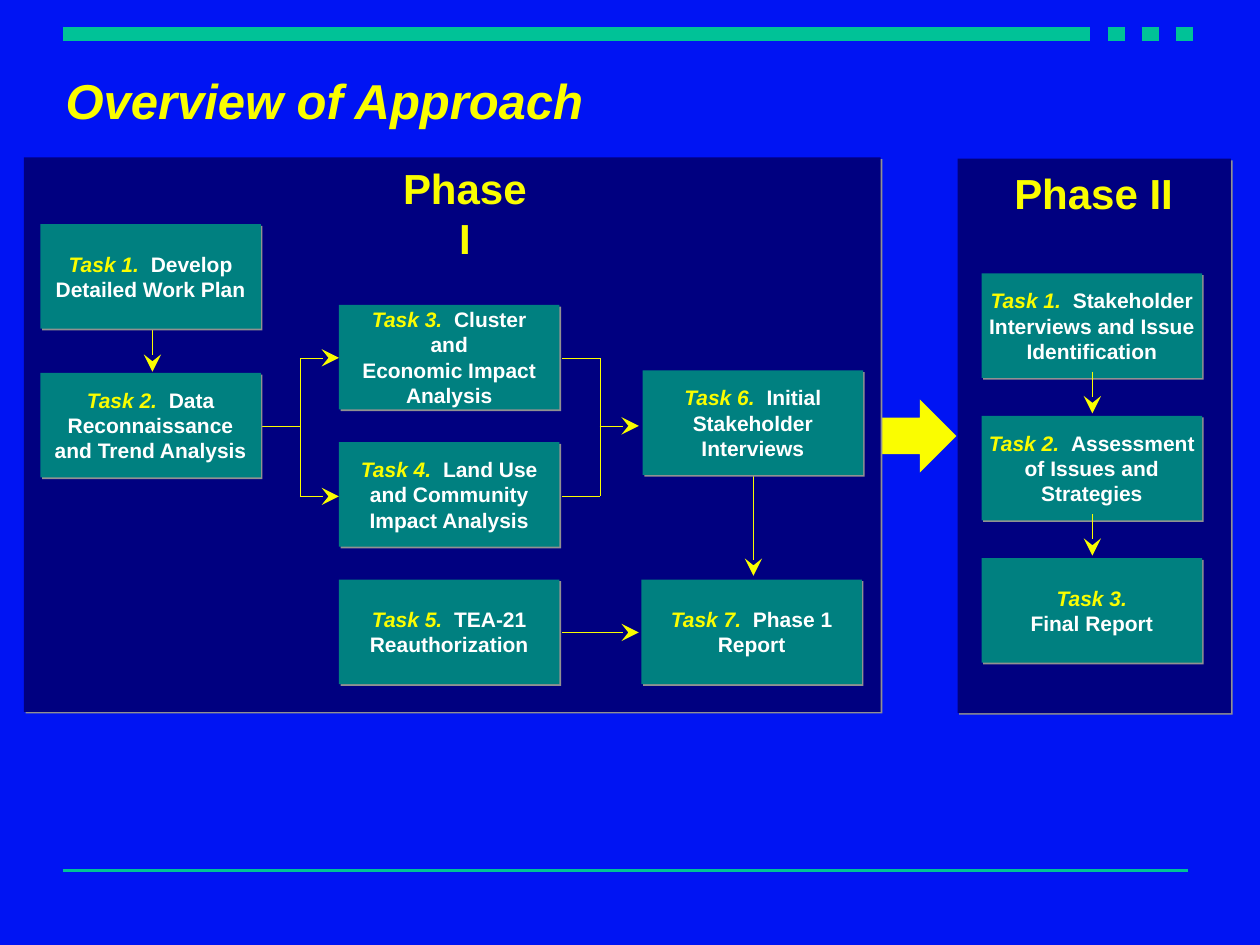
from lxml import etree
from pptx import Presentation
from pptx.dml.color import RGBColor
from pptx.enum.shapes import MSO_CONNECTOR as LINE, MSO_SHAPE as SHAPE
from pptx.enum.text import MSO_ANCHOR as ANCHOR, MSO_AUTO_SIZE as AUTO, PP_ALIGN as ALIGN
from pptx.oxml.ns import qn
from pptx.util import Inches, Pt

BLUE = RGBColor(0x00, 0x14, 0xF3)
NAVY = RGBColor(0x00, 0x00, 0x80)
TEAL = RGBColor(0x00, 0x80, 0x80)
GREEN = RGBColor(0x00, 0xC2, 0x97)
YELLOW = RGBColor(0xFA, 0xFD, 0x00)
WHITE = RGBColor(0xFF, 0xFF, 0xFF)
GREY = RGBColor(0x91, 0x91, 0x91)

TASK_WIDTH, TASK_HEIGHT = 1.75, 0.83


class Flowchart:
    """The slide being drawn, with the style of its elements."""

    label = {"name": "Arial", "size": Pt(12), "bold": True, "italic": True}
    body = {**label, "italic": False}
    heading = {**body, "size": Pt(24)}
    headline = {**label, "size": Pt(28)}

    def __init__(self, page):
        self.page = page
        page.background.fill.solid()
        page.background.fill.fore_color.rgb = BLUE

    def add_text(self, para, text, style, color):
        for index, line in enumerate(text.split("\n")):
            if index:
                para.add_line_break()
            if not line:
                continue
            span = para.add_run()
            span.text = line
            for name, value in style.items():
                setattr(span.font, name, value)
            span.font.color.rgb = color

    def title(self, text, left, top, width, height):
        box = self.page.shapes.title
        box.left, box.top, box.width, box.height = map(Inches, (left, top, width, height))
        frame = box.text_frame
        frame.auto_size, frame.vertical_anchor = AUTO.NONE, ANCHOR.TOP
        para = frame.paragraphs[0]
        para.alignment, para.line_spacing = ALIGN.LEFT, 0.85
        self.add_text(para, text, self.headline, YELLOW)

    def phase(self, text, left, top, width):
        box = self.page.shapes.add_textbox(*map(Inches, (left, top, width, 0.5)))
        box.text_frame.word_wrap = False
        para = box.text_frame.paragraphs[0]
        para.alignment = ALIGN.CENTER
        self.add_text(para, text, self.heading, YELLOW)

    def block(self, kind, left, top, width, height, color, shadow=True):
        box = self.page.shapes.add_shape(kind, *map(Inches, (left, top, width, height)))
        box.fill.solid()
        box.fill.fore_color.rgb = color
        box.line.fill.background()
        box.shadow.inherit = False
        if shadow:
            effects = box.element.spPr.find(qn("a:effectLst"))
            outer = etree.SubElement(effects, qn("a:outerShdw"), dist=str(Pt(1.4)),
                                     dir="2700000", algn="ctr", rotWithShape="0")
            etree.SubElement(outer, qn("a:srgbClr"), val=str(GREY))
        return box

    def task(self, number, text, left, top, inset=0.1):
        box = self.block(SHAPE.RECTANGLE, left, top, TASK_WIDTH, TASK_HEIGHT, TEAL)
        frame = box.text_frame
        frame.word_wrap, frame.vertical_anchor = True, ANCHOR.MIDDLE
        frame.margin_left = frame.margin_right = Inches(inset)
        frame.margin_top = frame.margin_bottom = 0
        para = frame.paragraphs[0]
        para.alignment = ALIGN.CENTER
        gap = "" if text.startswith("\n") else "  "
        self.add_text(para, f"Task {number}.{gap}", self.label, YELLOW)
        self.add_text(para, text, self.body, WHITE)

    def line(self, x1, y1, x2, y2, color=YELLOW, weight=0.25, arrow=False):
        line = self.page.shapes.add_connector(LINE.STRAIGHT, *map(Inches, (x1, y1, x2, y2)))
        line.line.color.rgb = color
        line.line.width = Pt(weight)
        properties = line.element.spPr
        if arrow:
            etree.SubElement(properties.find(qn("a:ln")), qn("a:tailEnd"),
                             type="stealth", w="lg", len="lg")
        etree.SubElement(properties, qn("a:effectLst"))


def main():
    deck = Presentation()
    deck.slide_width, deck.slide_height = Inches(10), Inches(7.5)
    chart = Flowchart(deck.slides.add_slide(deck.slide_layouts[5]))

    # Bars at the top and bottom
    for index in range(3):
        dash = 8.79 + 0.27 * index
        chart.line(dash, 0.27, dash + 0.14, 0.27, GREEN, 8)
    chart.line(0.5, 0.27, 8.65, 0.27, GREEN, 8)
    chart.line(0.5, 6.91, 9.43, 6.91, GREEN, 2)

    # Title, phase panels and the arrow between them
    chart.title("Overview of Approach", 0.42, 0.58, 8.5, 0.67)
    chart.block(SHAPE.RIGHT_ARROW, 6.42, 3.17, 1.17, 0.58, YELLOW, shadow=False)
    chart.block(SHAPE.RECTANGLE, 7.6, 1.26, 2.17, 4.4, NAVY)
    chart.block(SHAPE.RECTANGLE, 0.19, 1.25, 6.8, 4.4, NAVY)
    chart.phase("Phase I", 3.01, 1.24, 1.36)
    chart.phase("Phase II", 7.95, 1.28, 1.46)

    # Phase I flow: task 2 splits to tasks 3 and 4, which join at task 6
    upper, middle, lower = 2.84, 3.38, 3.94
    split, join = 2.38, 4.76
    chart.line(1.21, 2.62, 1.21, 2.95, arrow=True)
    chart.line(2.07, middle, split, middle)
    for x in (split, join):
        chart.line(x, upper, x, lower)
    for y in (upper, lower):
        chart.line(split, y, 2.69, y, arrow=True)
        chart.line(4.46, y, join, y)
    chart.line(join, middle, 5.07, middle, arrow=True)
    chart.line(5.98, 3.46, 5.98, 4.57, arrow=True)
    chart.line(4.46, 5.02, 5.07, 5.02, arrow=True)

    # Phase I tasks
    phase_one = [
        ("Develop Detailed Work Plan", 0.32, 1.78),
        ("Data\nReconnaissance\nand Trend Analysis", 0.32, 2.96),
        ("Cluster and\nEconomic Impact Analysis", 2.69, 2.42),
        ("Land Use\nand Community Impact Analysis", 2.69, 3.51),
        ("TEA-21 Reauthorization", 2.69, 4.6),
        ("Initial Stakeholder Interviews", 5.1, 2.94),
        ("Phase 1\nReport", 5.09, 4.6),
    ]
    for number, (text, left, top) in enumerate(phase_one, 1):
        chart.task(number, text, left, top)

    # Phase II tasks, each linked to the one before
    phase_two = [
        "Stakeholder Interviews and Issue Identification",
        "Assessment of Issues and Strategies",
        "\nFinal Report",
    ]
    for index, text in enumerate(phase_two):
        top = 2.17 + 1.13 * index
        if index:
            chart.line(8.67, top - 0.35, 8.67, top - 0.02, arrow=True)
        chart.task(index + 1, text, 7.79, top, inset=0)

    deck.save("out.pptx")


if __name__ == "__main__":
    main()
